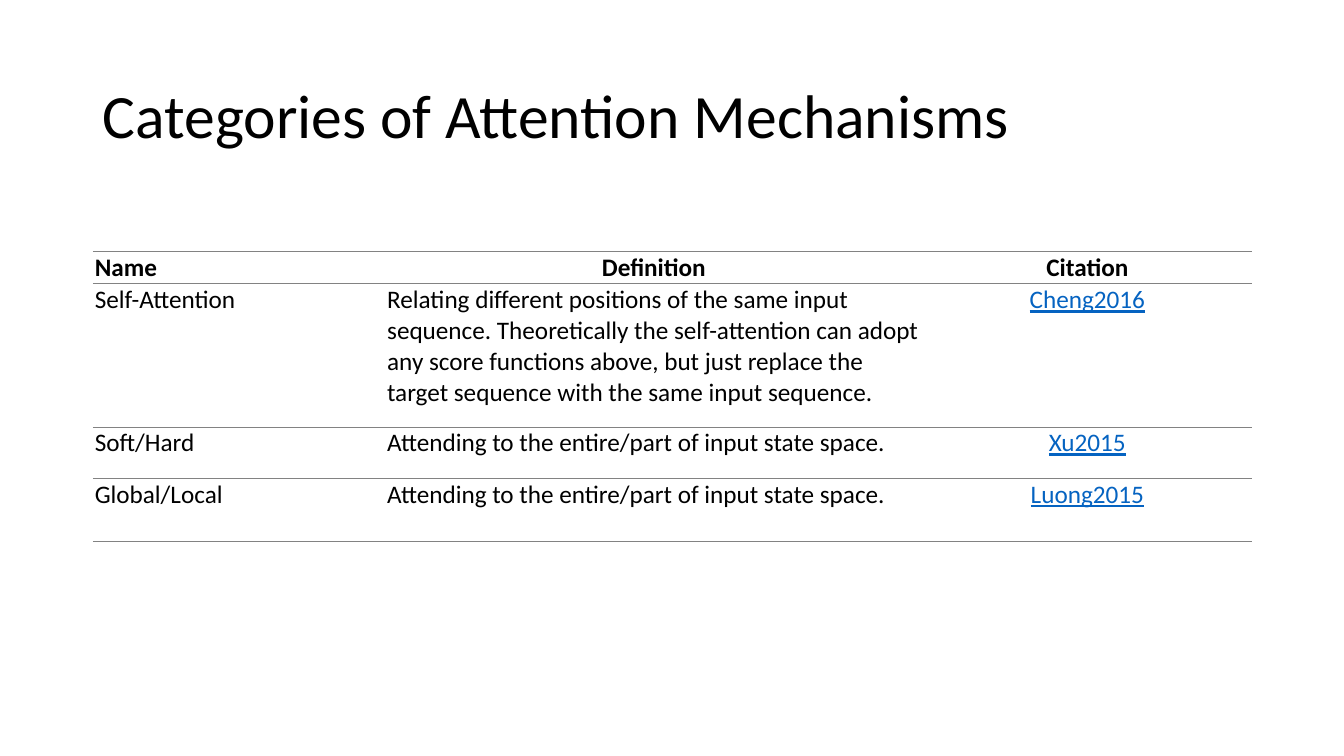
from lxml import etree
from pptx import Presentation
from pptx.dml.color import RGBColor
from pptx.enum.text import MSO_ANCHOR, PP_ALIGN
from pptx.oxml.ns import qn
from pptx.util import Inches, Pt

LEFT, CENTER = PP_ALIGN.LEFT, PP_ALIGN.CENTER
TOP, MIDDLE = MSO_ANCHOR.TOP, MSO_ANCHOR.MIDDLE
TITLE_ONLY = 5
COLORS = {"text": "000000", "link": "0563C1", "rule": "828282"}

COLUMN_WIDTHS = [2.9, 5.33, 3.27]
ROW_HEIGHTS = [0.32, 1.42, 0.51, 0.63]
ATTENTION_ROWS = [
    ["Name", "Definition", "Citation"],
    ["Self-Attention",
     "Relating different positions of the same input sequence. Theoretically "
     "the self-attention can adopt any score functions above, but just replace "
     "the target sequence with the same input sequence.",
     "Cheng2016"],
    ["Soft/Hard", "Attending to the entire/part of input state space.", "Xu2015"],
    ["Global/Local", "Attending to the entire/part of input state space.", "Luong2015"],
]


class SlideBuilder:
    font_name = "Calibri"
    title_size = 44
    body_size = 18
    rule_width = 0.5

    def __init__(self, presentation):
        self.slide = presentation.slides.add_slide(presentation.slide_layouts[TITLE_ONLY])

    def format_text(self, text_frame, size, color="text", alignment=LEFT,
                    bold=False, underline=False):
        for paragraph in text_frame.paragraphs:
            paragraph.alignment = alignment
            for run in paragraph.runs:
                font = run.font
                font.name = self.font_name
                font.size = Pt(size)
                font.bold = bold
                font.underline = underline
                font.color.rgb = RGBColor.from_string(COLORS[color])

    def title(self, text, left, top, width, height):
        shape = self.slide.shapes.title
        shape.left, shape.top = Inches(left), Inches(top)
        shape.width, shape.height = Inches(width), Inches(height)
        shape.text_frame.text = text
        shape.text_frame.vertical_anchor = MIDDLE
        self.format_text(shape.text_frame, self.title_size)

    def table(self, rows, left, top, column_widths, row_heights):
        table = self.slide.shapes.add_table(
            len(rows), len(column_widths), Inches(left), Inches(top),
            Inches(sum(column_widths)), Inches(sum(row_heights))).table
        table.first_row = table.horz_banding = False
        for column, width in zip(table.columns, column_widths):
            column.width = Inches(width)
        for row, height in zip(table.rows, row_heights):
            row.height = Inches(height)
        for row_index, texts in enumerate(rows):
            for column_index, text in enumerate(texts):
                self.cell(table.cell(row_index, column_index), text,
                          is_header=row_index == 0, column_index=column_index)

    def cell(self, cell, text, is_header, column_index):
        is_citation = column_index == 2
        is_link = is_citation and not is_header
        is_centered = is_citation or (is_header and column_index == 1)
        cell.text_frame.text = text
        cell.vertical_anchor = TOP
        cell.margin_left = cell.margin_right = Inches(0.02)
        cell.margin_top = cell.margin_bottom = Inches(0.01)
        cell.fill.background()
        self.format_text(cell.text_frame, self.body_size,
                         color="link" if is_link else "text",
                         alignment=CENTER if is_centered else LEFT,
                         bold=is_header, underline=is_link)
        self.horizontal_rules(cell)

    def horizontal_rules(self, cell):
        properties = cell._tc.get_or_add_tcPr()
        for index, side in enumerate(["lnL", "lnR", "lnT", "lnB"]):
            line = etree.Element(qn("a:" + side), w=str(Pt(self.rule_width)))
            if side in ("lnT", "lnB"):
                fill = etree.SubElement(line, qn("a:solidFill"))
                etree.SubElement(fill, qn("a:srgbClr"), val=COLORS["rule"])
            else:
                etree.SubElement(line, qn("a:noFill"))
            properties.insert(index, line)


presentation = Presentation()
presentation.slide_width = Inches(13.33)
presentation.slide_height = Inches(7.5)

builder = SlideBuilder(presentation)
builder.title("Categories of Attention Mechanisms", 0.92, 0.4, 11.5, 1.45)
builder.table(ATTENTION_ROWS, 0.92, 2.49, COLUMN_WIDTHS, ROW_HEIGHTS)

presentation.save("out.pptx")
